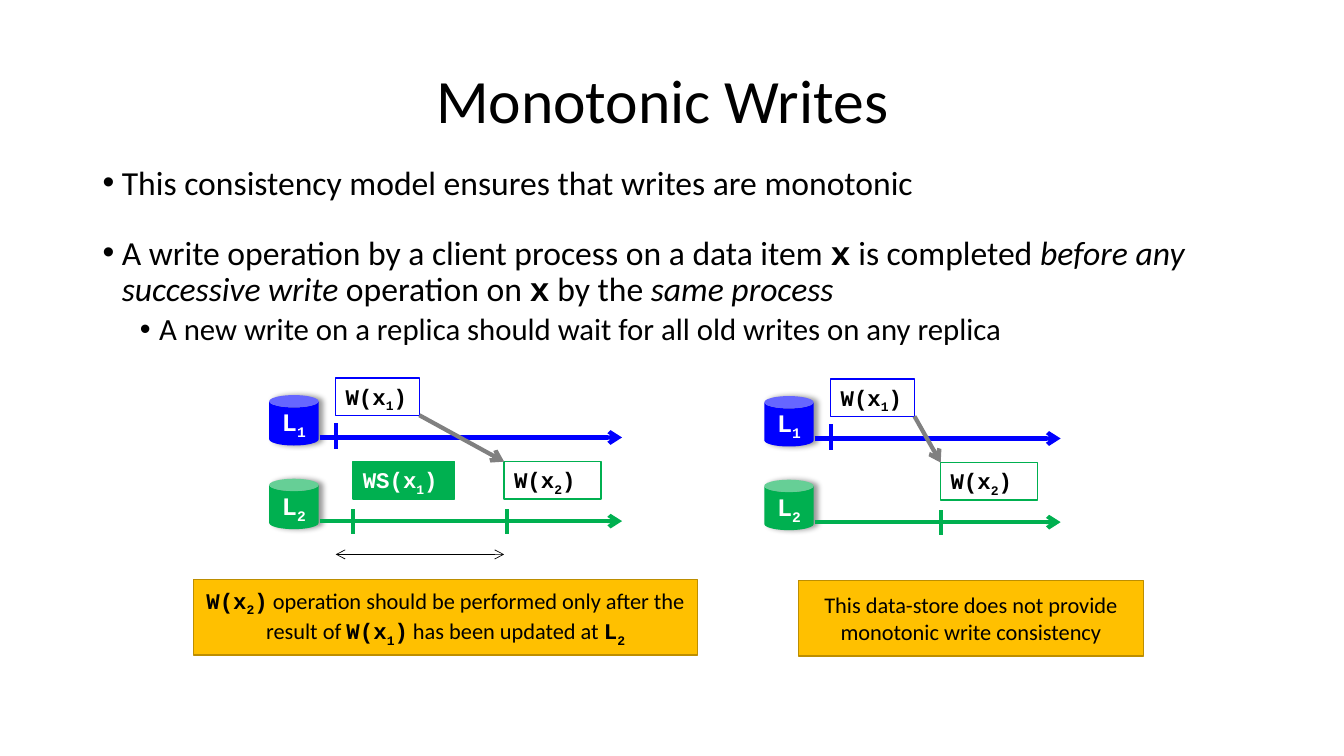
from dataclasses import dataclass

from lxml.etree import SubElement
from pptx import Presentation
from pptx.dml.color import RGBColor
from pptx.enum.shapes import MSO_CONNECTOR, MSO_SHAPE
from pptx.enum.text import MSO_ANCHOR, PP_ALIGN
from pptx.oxml.ns import qn
from pptx.util import Emu, Pt

PX = 9144  # 100 px to the inch
COLORS = {
    "black": "000000", "white": "FFFFFF", "blue": "0000FF", "green": "00B050",
    "gray": "808080", "amber": "FFC000", "amber_edge": "BD8E00",
}
TEXT_FONT = "Calibri"
CODE_FONT = "Courier New"


@dataclass(frozen=True)
class Span:
    text: str
    code: bool = False
    italic: bool = False
    subscript: bool = False


@dataclass(frozen=True)
class Bullet:
    spans: list[Span]
    size: int
    indent: int
    space_before: float


@dataclass(frozen=True)
class Box:
    left: int
    top: int
    width: int
    height: int


@dataclass(frozen=True)
class Diagram:
    left: int
    top: int
    timeline_end: int
    second_write: int
    second_tick: int
    synced: bool
    caption_box: Box
    caption: list[Span]


def indexed(name: str, index: int, closing: str = "") -> list[Span]:
    """Code spans for a name with a subscript number."""
    spans = [Span(name, code=True), Span(str(index), code=True, subscript=True)]
    return spans + ([Span(closing, code=True)] if closing else [])


def write(index: int) -> list[Span]:
    return indexed("W(x", index, ")")


BULLETS = [
    Bullet([Span("This consistency model ensures that writes are monotonic")], 24, 19, 0),
    Bullet([
        Span("A write operation by a client process on a data item "),
        Span("x", code=True), Span(" is completed "),
        Span("before any successive write ", italic=True), Span("operation on "),
        Span("x", code=True), Span(" by the "), Span("same process", italic=True),
    ], 24, 19, 24),
    Bullet([Span("A new write on a replica should wait for all old writes on any replica")],
           22, 56, 3.8),
]
DIAGRAMS = [
    Diagram(267, 392, 617, 500, 503, True, Box(192, 575, 500, 75), [
        *write(2), Span(" operation should be performed only after the result of "),
        *write(1), Span(" has been updated at "), *indexed("L", 2),
    ]),
    Diagram(758, 393, 1052, 933, 933, False, Box(792, 576, 342, 75), [
        Span("This data-store does not provide monotonic write consistency"),
    ]),
]


def rgb(color: str) -> RGBColor:
    return RGBColor.from_string(COLORS[color])


def place(shape, box: Box) -> None:
    shape.left, shape.top = Emu(box.left * PX), Emu(box.top * PX)
    shape.width, shape.height = Emu(box.width * PX), Emu(box.height * PX)


def write_spans(para, spans: list[Span], *, size: int, color: str = "black",
                align: PP_ALIGN = PP_ALIGN.LEFT) -> None:
    para.alignment = align
    for span in spans:
        run = para.add_run()
        run.text = span.text
        run.font.name = CODE_FONT if span.code else TEXT_FONT
        run.font.size = Pt(size)
        run.font.bold = span.code
        run.font.italic = span.italic
        run.font.color.rgb = rgb(color)
        if span.subscript:
            run.font._element.set("baseline", "-25000")


def add_bullets(slide, box: Box, bullets: list[Bullet]) -> None:
    frame = slide.shapes.add_textbox(*(Emu(0),) * 4)
    place(frame, box)
    frame.text_frame.word_wrap = True
    for number, bullet in enumerate(bullets):
        para = frame.text_frame.add_paragraph() if number else frame.text_frame.paragraphs[0]
        properties = para._p.get_or_add_pPr()
        properties.set("marL", str(bullet.indent * PX))
        properties.set("indent", str(-19 * PX))
        SubElement(properties, qn("a:buFont"), typeface="Arial")
        SubElement(properties, qn("a:buChar"), char="•")
        para.line_spacing = 0.9
        para.space_before = Pt(bullet.space_before)
        write_spans(para, bullet.spans, size=bullet.size)


def add_box(slide, box: Box, spans: list[Span], *, fill: str, edge: str | None = None,
            kind: MSO_SHAPE = MSO_SHAPE.RECTANGLE, size: int = 16, color: str = "black",
            align: PP_ALIGN = PP_ALIGN.CENTER, anchor: MSO_ANCHOR = MSO_ANCHOR.MIDDLE):
    shape = slide.shapes.add_shape(kind, *(Emu(0),) * 4)
    place(shape, box)
    shape.shadow.inherit = False
    shape.fill.solid()
    shape.fill.fore_color.rgb = rgb(fill)
    if edge:
        shape.line.color.rgb = rgb(edge)
        shape.line.width = Pt(1)
    else:
        shape.line.fill.background()
    shape.text_frame.word_wrap = True
    shape.text_frame.vertical_anchor = anchor
    write_spans(shape.text_frame.paragraphs[0], spans, size=size, color=color, align=align)
    return shape


def add_line(slide, start: tuple[int, int], end: tuple[int, int], color: str, *,
             width: float = 3, head: bool = False, tail: bool = False) -> None:
    line = slide.shapes.add_connector(
        MSO_CONNECTOR.STRAIGHT, *(Emu(value * PX) for value in (*start, *end)))
    line.line.color.rgb = rgb(color)
    line.line.width = Pt(width)
    outline = line.line._get_or_add_ln()
    for wanted, tag in ((head, "a:headEnd"), (tail, "a:tailEnd")):
        if wanted:
            SubElement(outline, qn(tag), type="arrow")
    SubElement(line._element.spPr, qn("a:effectLst"))


def add_replica(slide, left: int, top: int, index: int, color: str, timeline_end: int) -> None:
    """Draw a data store and its timeline."""
    can = add_box(slide, Box(left, top, 49, 50), indexed("L", index), fill=color,
                  kind=MSO_SHAPE.CAN, size=18, color="white")
    effects = can._element.spPr.find(qn("a:effectLst"))
    shadow = SubElement(effects, qn("a:outerShdw"), blurRad=str(Pt(4)), dist=str(Pt(3)),
                        dir="0", algn="l", rotWithShape="0")
    shade = SubElement(shadow, qn("a:srgbClr"), val=COLORS["black"])
    SubElement(shade, qn("a:alpha"), val="40000")
    axis = top + 42
    add_line(slide, (left + 50, axis), (timeline_end, axis), color, tail=True)


def add_event(slide, box: Box, spans: list[Span], tick: tuple[int, int], edge: str, *,
              fill: str = "white", color: str = "black") -> None:
    """Draw an operation label and its tick on the timeline."""
    add_box(slide, box, spans, fill=fill, edge=edge, color=color,
            align=PP_ALIGN.LEFT, anchor=MSO_ANCHOR.TOP)
    add_line(slide, tick, (tick[0], tick[1] + 25), edge)


def add_diagram(slide, diagram: Diagram) -> None:
    left, top, second = diagram.left, diagram.top, diagram.second_write
    first = left + 66
    for index, color in enumerate(("blue", "green"), 1):
        add_replica(slide, left, top + 83 * (index - 1), index, color, diagram.timeline_end)
    label_top, tick_top = top + 66, top + 113
    if diagram.synced:
        add_event(slide, Box(left + 83, label_top, 101, 37), indexed("WS(x", 1, ")"),
                  (left + 83, tick_top), "green", fill="green", color="white")
        add_line(slide, (first, 550), (second, 550), "black", width=0.5, head=True, tail=True)
    add_event(slide, Box(second, label_top, 96, 37), write(2),
              (diagram.second_tick, tick_top), "green")
    add_event(slide, Box(first, top - 17, 83, 37), write(1), (first, top + 28), "blue")
    add_box(slide, diagram.caption_box, diagram.caption, fill="amber", edge="amber_edge")
    add_line(slide, (first + 83, top + 20), (second, label_top), "gray", tail=True)


def main() -> None:
    deck = Presentation()
    deck.slide_width, deck.slide_height = Emu(1333 * PX), Emu(750 * PX)
    slide = deck.slides.add_slide(deck.slide_layouts[5])
    title = slide.shapes.title
    place(title, Box(92, 30, 1130, 145))
    title.text_frame.vertical_anchor = MSO_ANCHOR.MIDDLE
    heading = title.text_frame.paragraphs[0]
    heading.line_spacing = 0.9
    write_spans(heading, [Span("Monotonic Writes")], size=44, align=PP_ALIGN.CENTER)
    add_bullets(slide, Box(92, 160, 1130, 200), BULLETS)
    for diagram in DIAGRAMS:
        add_diagram(slide, diagram)
    deck.save("out.pptx")


if __name__ == "__main__":
    main()
